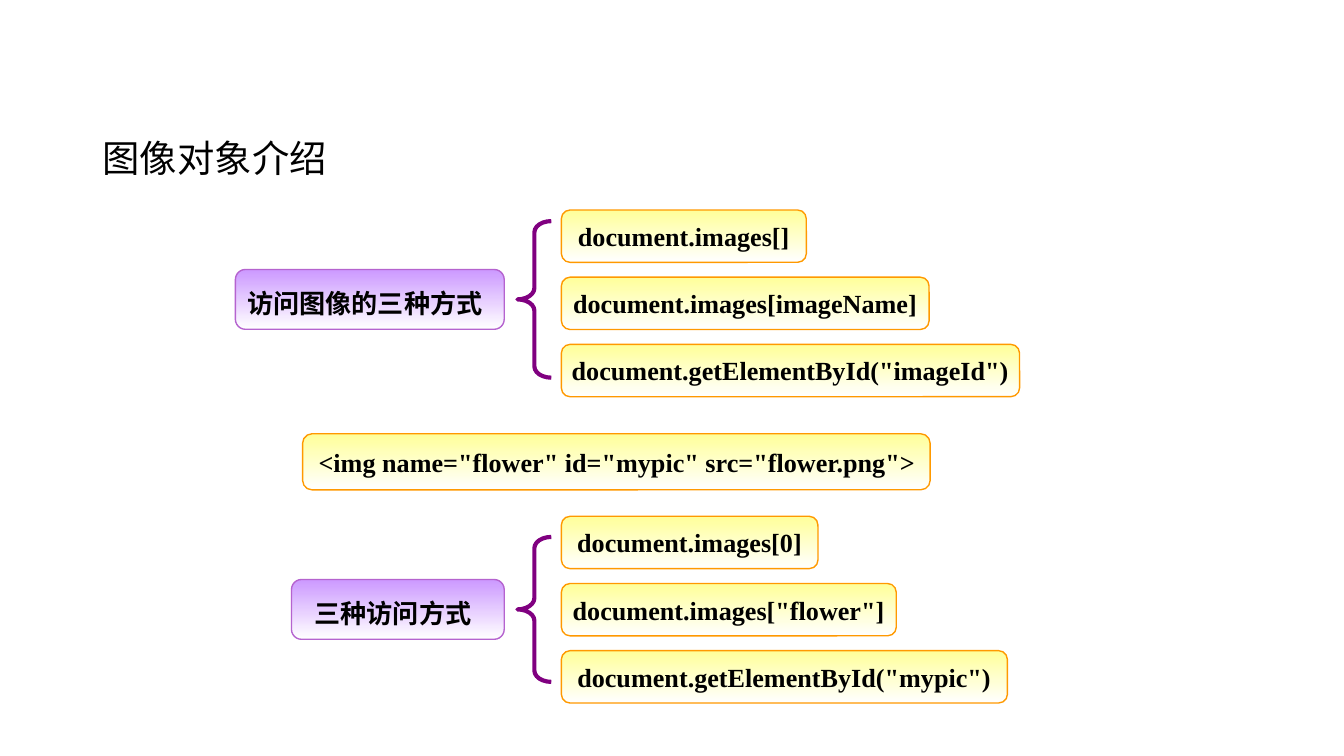
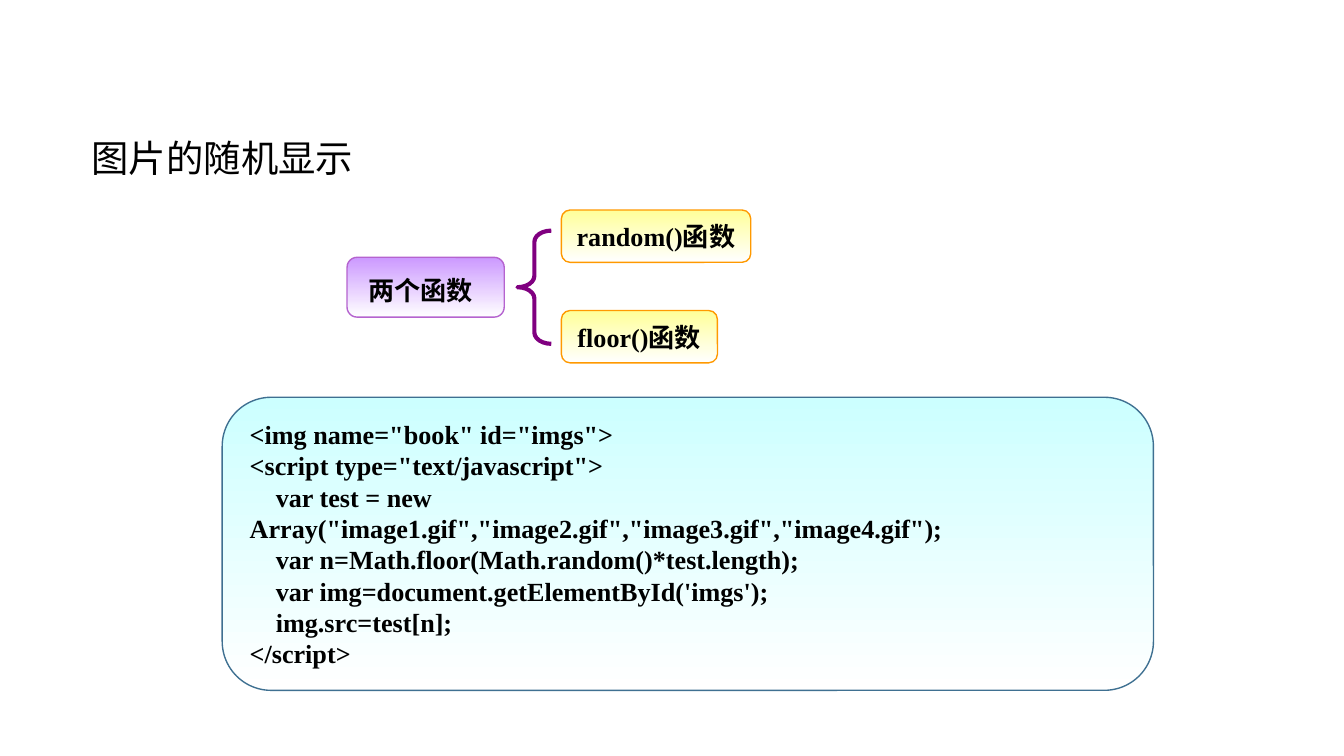
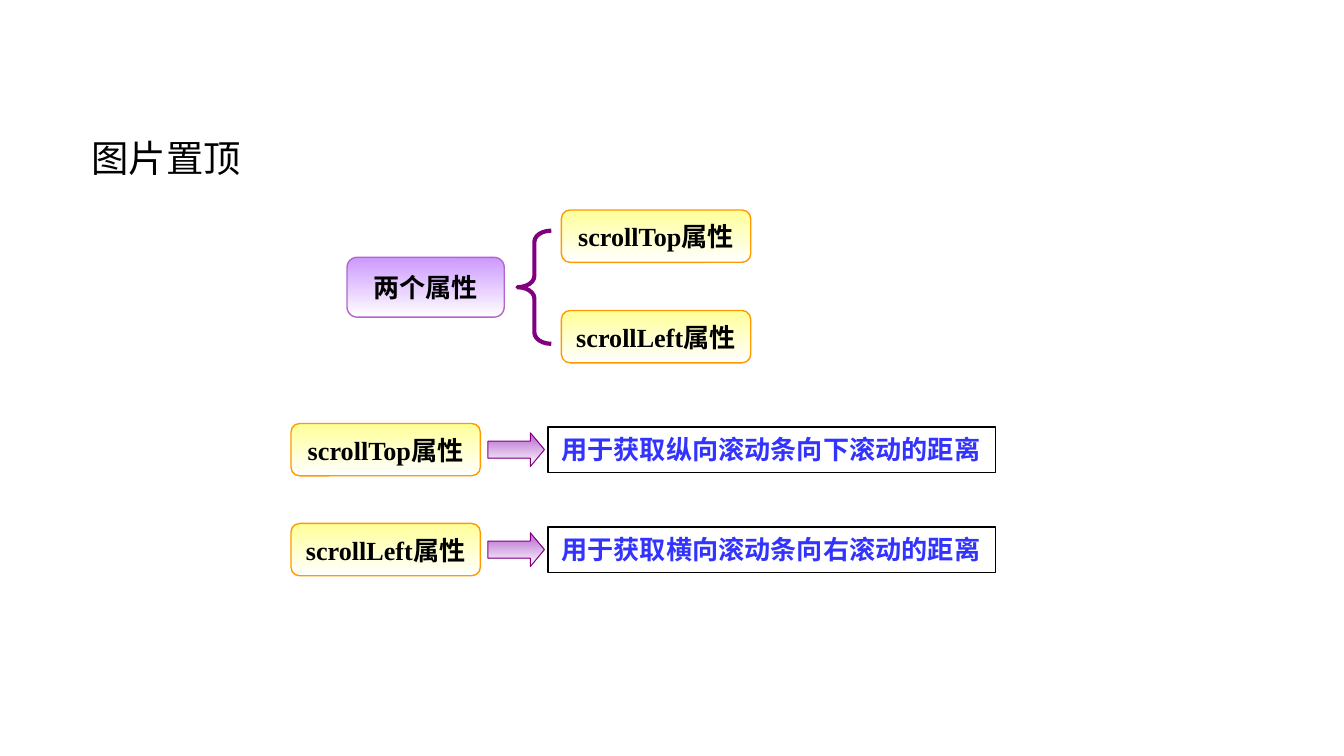
"""Build three slides on image objects, random images and scroll properties."""
from dataclasses import dataclass
from typing import Optional

from pptx import Presentation
from pptx import util as u
from pptx.dml import color
from pptx.enum import shapes, text


@dataclass(frozen=True)
class Look:
    line: str
    line_width: float = 0.75
    top_colour: Optional[str] = None


@dataclass(frozen=True)
class Theme:
    font: str = "Times New Roman"
    ink: str = "000000"
    fade: str = "FFFFFF"
    highlight: str = "3333FF"
    title_size: int = 20
    body_size: int = 14
    label: Look = Look("B563CF", top_colour="CC99FF")
    option: Look = Look("FF9900", top_colour="FFFF99")
    code: Look = Look("3F7091", top_colour="CCFFFF")
    arrow: Look = Look("800080", 0.5, "B563CF")
    brace: Look = Look("800080", 2.25)
    frame: Look = Look("000000")


@dataclass(frozen=True)
class Box:
    left: float
    top: float
    width: float
    height: float

    def lengths(self) -> list:
        return [u.Cm(side) for side in (self.left, self.top, self.width, self.height)]


@dataclass(frozen=True)
class Option:
    wording: str
    width: float


@dataclass(frozen=True)
class Branch:
    label: str
    label_width: float
    options: tuple
    top: float
    pitch: float
    brace_top: float
    brace_height: float
    label_nudged: bool = True


THEME = Theme()
OPTION_LEFT, OPTION_HEIGHT = 10.61, 0.99
LABEL_RIGHT, LABEL_HEIGHT = 9.53, 1.13
PROPERTY_WIDTH = 3.58
PROPERTIES = ("scrollTop属性", "scrollLeft属性")
MEANINGS = ("用于获取纵向滚动条向下滚动的距离", "用于获取横向滚动条向右滚动的距离")
SCRIPT = """<img name="book" id="imgs">
<script type="text/javascript">
    var test = new Array("image1.gif","image2.gif","image3.gif","image4.gif");
    var n=Math.floor(Math.random()*test.length);
    var img=document.getElementById('imgs');
    img.src=test[n];
</script>"""

ACCESS_WAYS = Branch(
    "访问图像的三种方式", 5.08,
    (Option("document.images[]", 4.63),
     Option("document.images[imageName]", 6.95),
     Option('document.getElementById("imageId")', 8.66)),
    top=3.97, pitch=1.27, brace_top=4.18, brace_height=2.96)
ACCESS_EXAMPLES = Branch(
    "三种访问方式", 4.02,
    (Option("document.images[0]", 4.85),
     Option('document.images["flower"]', 6.33),
     Option('document.getElementById("mypic")', 8.43)),
    top=9.76, pitch=1.27, brace_top=10.15, brace_height=2.74)
FUNCTIONS = Branch(
    "两个函数", 2.97,
    (Option("random()函数", 3.58), Option("floor()函数", 2.95)),
    top=3.97, pitch=1.9, brace_top=4.36, brace_height=2.14)
SCROLLING = Branch(
    "两个属性", 2.97, tuple(Option(name, PROPERTY_WIDTH) for name in PROPERTIES),
    top=3.97, pitch=1.9, brace_top=4.36, brace_height=2.14, label_nudged=False)


def write(shape, wording: str, *, size: int = THEME.body_size, bold: bool = True,
          colour: str = THEME.ink, align=text.PP_ALIGN.LEFT,
          anchor=text.MSO_ANCHOR.TOP, wrap: bool = True, grow: bool = False) -> None:
    frame = shape.text_frame
    frame.word_wrap = wrap
    frame.vertical_anchor = anchor
    if grow:
        frame.auto_size = text.MSO_AUTO_SIZE.SHAPE_TO_FIT_TEXT
    for index, line in enumerate(wording.split("\n")):
        paragraph = frame.add_paragraph() if index else frame.paragraphs[0]
        paragraph.alignment = align
        run = paragraph.add_run()
        run.text = line
        run.font.name = THEME.font
        run.font.size = u.Pt(size)
        run.font.bold = bold
        run.font.color.rgb = color.RGBColor.from_string(colour)


def add_shape(slide, kind, box: Box, look: Look, adjustments: tuple = ()):
    shape = slide.shapes.add_shape(kind, *box.lengths())
    shape.shadow.inherit = False
    for index, value in enumerate(adjustments):
        shape.adjustments[index] = value
    if look.top_colour:
        shape.fill.gradient()
        shape.fill.gradient_angle = 270
        stops = zip(shape.fill.gradient_stops, (look.top_colour, THEME.fade), (0, 1))
        for stop, colour, position in stops:
            stop.color.rgb = color.RGBColor.from_string(colour)
            stop.position = position
    else:
        shape.fill.background()
    shape.line.color.rgb = color.RGBColor.from_string(look.line)
    shape.line.width = u.Pt(look.line_width)
    return shape


def add_pill(slide, box: Box, look: Look, wording: str, align=text.PP_ALIGN.CENTER):
    shape = add_shape(slide, shapes.MSO_SHAPE.ROUNDED_RECTANGLE, box, look, (0.167,))
    write(shape, wording, align=align, anchor=text.MSO_ANCHOR.MIDDLE, wrap=False)
    return shape


def add_branch(slide, branch: Branch) -> None:
    middle = branch.brace_top + branch.brace_height / 2
    label_box = Box(LABEL_RIGHT - branch.label_width, middle - LABEL_HEIGHT / 2,
                    branch.label_width, LABEL_HEIGHT)
    label = add_pill(slide, label_box, THEME.label, branch.label)
    if branch.label_nudged:
        label.text_frame.margin_right = u.Cm(0.43)
        label.text_frame.margin_top = u.Cm(0.25)
    for row, option in enumerate(branch.options):
        box = Box(OPTION_LEFT, branch.top + row * branch.pitch, option.width, OPTION_HEIGHT)
        add_pill(slide, box, THEME.option, option.wording)
    brace_box = Box(9.78, branch.brace_top, 0.64, branch.brace_height)
    add_shape(slide, shapes.MSO_SHAPE.LEFT_BRACE, brace_box, THEME.brace, (0.333, 0.5))


def add_meaning(slide, middle: float, name: str, meaning: str) -> None:
    def centred(left: float, width: float, height: float) -> Box:
        return Box(left, middle - height / 2, width, height)

    add_pill(slide, centred(5.5, PROPERTY_WIDTH, OPTION_HEIGHT), THEME.option, name)
    frame = add_shape(slide, shapes.MSO_SHAPE.RECTANGLE, centred(10.36, 8.46, 0.86), THEME.frame)
    write(frame, meaning, colour=THEME.highlight, grow=True)
    add_shape(slide, shapes.MSO_SHAPE.RIGHT_ARROW, centred(9.22, 1.07, 0.64),
              THEME.arrow, (0.5, 0.416))


def add_slide(presentation, title: str, title_left: float = 1.48):
    slide = presentation.slides.add_slide(presentation.slide_layouts[6])
    title_box = slide.shapes.add_textbox(*Box(title_left, 2.44, 9.1, 1.12).lengths())
    write(title_box, title, size=THEME.title_size, bold=False, grow=True)
    return slide


def main() -> None:
    presentation = Presentation()
    presentation.slide_width, presentation.slide_height = u.Cm(25.4), u.Cm(14.29)

    slide = add_slide(presentation, "图像对象介绍", title_left=1.69)
    add_branch(slide, ACCESS_WAYS)
    add_pill(slide, Box(5.72, 8.2, 11.86, 1.06), THEME.option,
             '<img name="flower" id="mypic" src="flower.png">', text.PP_ALIGN.LEFT)
    add_branch(slide, ACCESS_EXAMPLES)

    slide = add_slide(presentation, "图片的随机显示")
    add_branch(slide, FUNCTIONS)
    panel = add_shape(slide, shapes.MSO_SHAPE.ROUNDED_RECTANGLE,
                      Box(4.2, 7.51, 17.6, 5.54), THEME.code, (0.167,))
    write(panel, SCRIPT, grow=True)

    slide = add_slide(presentation, "图片置顶")
    add_branch(slide, SCROLLING)
    for row, (name, meaning) in enumerate(zip(PROPERTIES, MEANINGS)):
        add_meaning(slide, 8.5 + row * 1.89, name, meaning)

    presentation.save("out.pptx")


if __name__ == "__main__":
    main()
